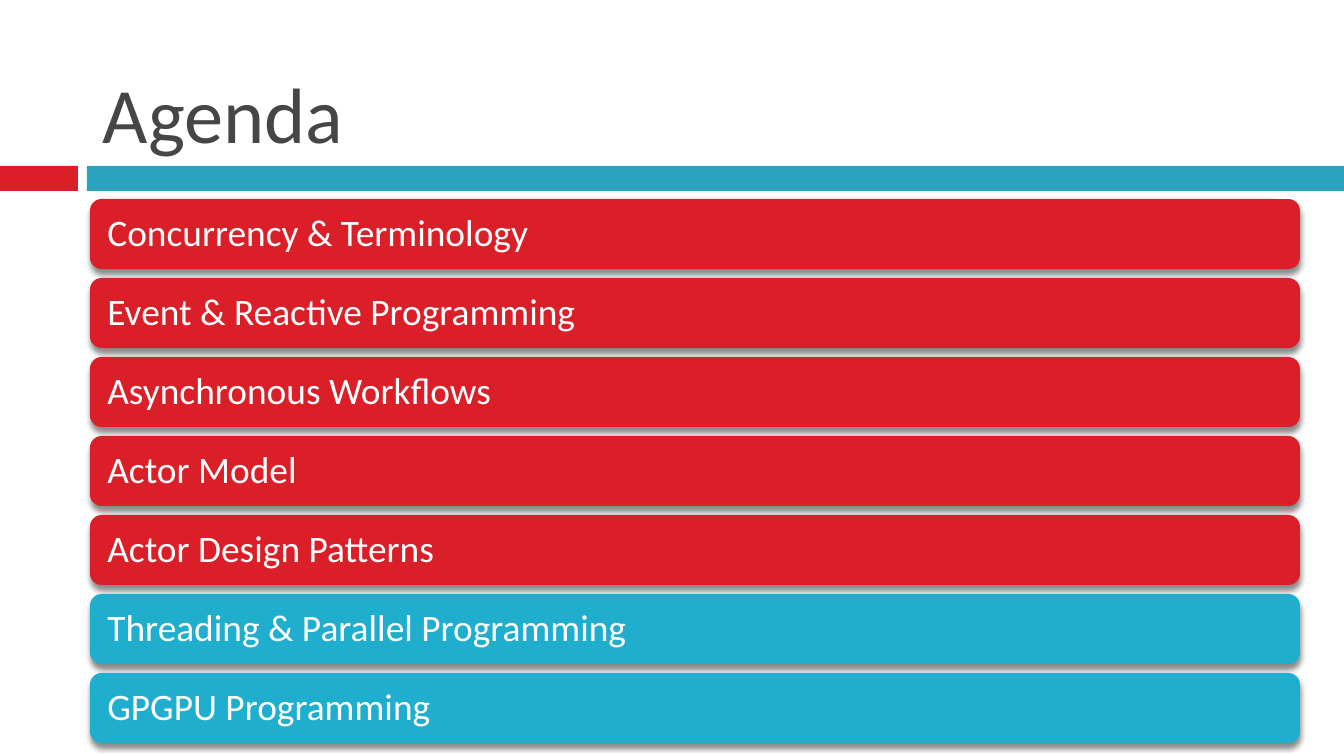
"""Build the agenda slide: a title, a two-colour rule and seven topic bars."""
from lxml import etree
from pptx import Presentation
from pptx.dml.color import RGBColor
from pptx.enum.shapes import MSO_SHAPE
from pptx.enum.text import MSO_ANCHOR, PP_ALIGN
from pptx.oxml import parse_xml
from pptx.oxml.ns import qn
from pptx.util import Pt

RECTANGLE, ROUNDED = MSO_SHAPE.RECTANGLE, MSO_SHAPE.ROUNDED_RECTANGLE
MIDDLE, BOTTOM = MSO_ANCHOR.MIDDLE, MSO_ANCHOR.BOTTOM
LEFT = PP_ALIGN.LEFT
EMU_PER_PX = 914400 / 134.4
THEME = {
    "font": "Calibri", "title_size": 42, "topic_size": 20,
    "title": "464646", "topic": "FFFFFF",
    "red": "DA1F28", "teal": "2DA2BF", "cyan": "1FAECD", "shadow": "000000",
}
TOPICS = [
    ("Concurrency & Terminology", "red"),
    ("Event & Reactive Programming", "red"),
    ("Asynchronous Workflows", "red"),
    ("Actor Model", "red"),
    ("Actor Design Patterns", "red"),
    ("Threading & Parallel Programming", "cyan"),
    ("GPGPU Programming", "cyan"),
]
BAR_TOP, BAR_HEIGHT, BAR_PITCH = 199, 70, 79
SHADOW = (
    '<a:outerShdw xmlns:a="http://schemas.openxmlformats.org/drawingml/2006/main"'
    ' blurRad="38100" dist="30480" dir="5400000" rotWithShape="0">'
    f'<a:srgbClr val="{THEME["shadow"]}"><a:alpha val="45000"/></a:srgbClr></a:outerShdw>'
)


def add_block(kind, bounds, color):
    block = page.shapes.add_shape(kind, *(round(px * EMU_PER_PX) for px in bounds))
    block.shadow.inherit = False
    block.fill.solid()
    block.fill.fore_color.rgb = RGBColor.from_string(THEME[color])
    block.line.fill.background()
    return block


def write_text(box, text, role, anchor, inset):
    frame = box.text_frame
    margin = round(inset * EMU_PER_PX)
    frame_format = {
        "word_wrap": True, "vertical_anchor": anchor,
        "margin_left": margin, "margin_right": margin,
        "margin_top": round(6 * EMU_PER_PX), "margin_bottom": round(6 * EMU_PER_PX),
    }
    for name, value in frame_format.items():
        setattr(frame, name, value)
    para = frame.paragraphs[0]
    para.alignment = LEFT
    span = para.add_run()
    span.text = text
    for name, value in {"name": THEME["font"], "size": Pt(THEME[role + "_size"])}.items():
        setattr(span.font, name, value)
    span.font.color.rgb = RGBColor.from_string(THEME[role])
    return para


deck = Presentation()
deck.slide_width, deck.slide_height = (round(px * EMU_PER_PX) for px in (1344, 756))
page = deck.slides.add_slide(deck.slide_layouts[6])

add_block(RECTANGLE, (0, 166, 78, 25), "red")
add_block(RECTANGLE, (87, 166, 1257, 25), "teal")

title = page.shapes.add_textbox(*(round(px * EMU_PER_PX) for px in (90, 17, 1199, 148)))
write_text(title, "Agenda", "title", BOTTOM, 13)

for row, (topic, color) in enumerate(TOPICS):
    bar = add_block(ROUNDED, (90, BAR_TOP + row * BAR_PITCH, 1210, BAR_HEIGHT), color)
    etree.ElementBase.append(bar.element.spPr.find(qn("a:effectLst")), parse_xml(SHADOW))
    para = write_text(bar, topic, "topic", MIDDLE, 14)
    para.line_spacing = 0.9

deck.save("out.pptx")
